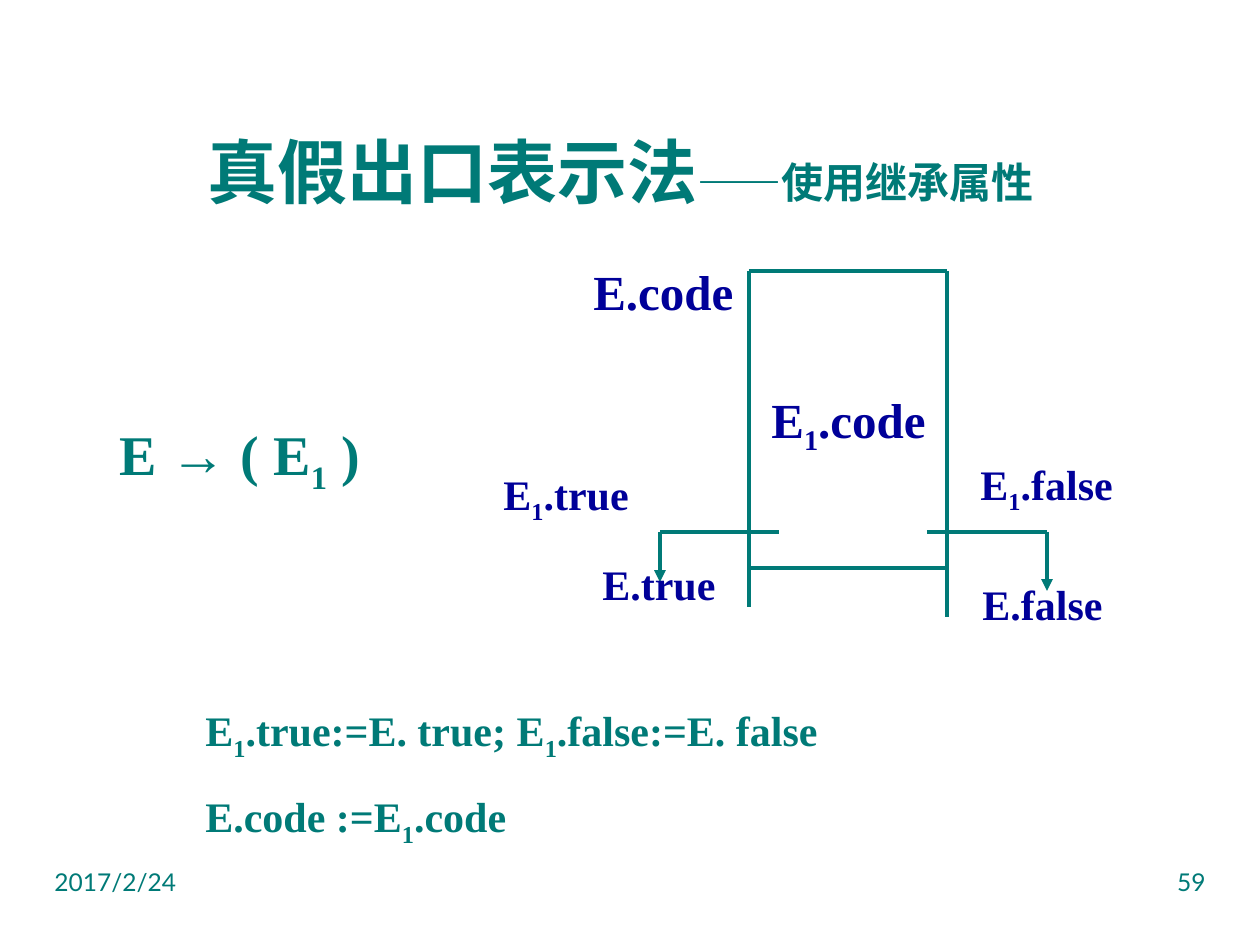
import pptx
import pptx.dml.color
import pptx.enum.shapes
import pptx.enum.text
import pptx.util
from lxml import etree
from pptx.oxml.ns import qn

PX = 914400 / 126
TEAL, NAVY = "007A77", "000099"
SERIF, SANS = "Times New Roman", "Lato"
ALIGN = pptx.enum.text.PP_ALIGN


def emu(px):
    return pptx.util.Emu(round(px * PX))


def rgb(value):
    return pptx.dml.color.RGBColor.from_string(value)


def style(font, size, color, name=SERIF, bold=True):
    font.size = pptx.util.Pt(size)
    font.name = name
    font.bold = bold
    font.color.rgb = rgb(color)


def add_runs(paragraph, text):
    """Add text in which the parts between bars are subscripts."""
    for index, part in enumerate(text.split("|")):
        run = paragraph.add_run()
        run.text = part
        if index % 2:
            run.font._element.set("baseline", "-25000")


def add_text(slide, box, lines, size, color=TEAL, name=SERIF, bold=True,
             align=ALIGN.LEFT, wrap=True, spacing=None):
    frame = slide.shapes.add_textbox(*map(emu, box)).text_frame
    frame.word_wrap = wrap
    for index, line in enumerate(lines):
        paragraph = frame.add_paragraph() if index else frame.paragraphs[0]
        paragraph.alignment = align
        if spacing:
            paragraph.line_spacing = spacing
        add_runs(paragraph, line)
        style(paragraph.font, size, color, name, bold)
    return frame


def add_title(slide, box, heading, subheading):
    frame = add_text(slide, box, [heading], 40, align=ALIGN.CENTER)
    frame.vertical_anchor = pptx.enum.text.MSO_ANCHOR.MIDDLE
    run = frame.paragraphs[0].add_run()
    run.text = subheading
    run.font.size = pptx.util.Pt(24)


def add_line(slide, x1, y1, x2, y2, arrow=False):
    line = slide.shapes.add_connector(
        pptx.enum.shapes.MSO_CONNECTOR.STRAIGHT, *map(emu, (x1, y1, x2, y2)))
    line.line.color.rgb = rgb(TEAL)
    line.line.width = pptx.util.Pt(2.25)
    if arrow:
        etree.SubElement(line.line._get_or_add_ln(), qn("a:tailEnd"), type="triangle")
    etree.SubElement(line._element.spPr, qn("a:effectLst"))


def add_code_block(slide):
    left, right, top, bottom = 749, 947, 271, 568
    add_line(slide, right, top, right, 617)
    add_line(slide, left, top, left, 607)
    for y in (top, bottom):
        add_line(slide, left, y, right, y)


def add_exit(slide, inner, outer, tip):
    """Draw an exit that leaves the code block and turns down."""
    level = 532
    add_line(slide, inner, level, outer, level)
    add_line(slide, outer, level, outer, tip, arrow=True)


def main():
    deck = pptx.Presentation()
    deck.slide_width, deck.slide_height = emu(1260), emu(945)
    slide = deck.slides.add_slide(deck.slide_layouts[6])

    add_title(slide, (123, 106, 995, 129), "真假出口表示法", "——使用继承属性")
    rules = ["E|1|.true:=E. true; E|1|.false:=E. false", "E.code :=E|1|.code"]
    add_text(slide, (193, 670, 745, 179), rules, 24, spacing=1.5)
    add_text(slide, (107, 413, 325, 79), ["E → ( E|1| )"], 32)

    add_code_block(slide)
    add_exit(slide, 779, 660, 582)
    add_exit(slide, 927, 1047, 591)
    labels = [
        ((581, 255, 165, 72), "E.code", 28),
        ((759, 383, 181, 72), "E|1|.code", 28),
        ((968, 452, 160, 63), "E|1|.false", 24),
        ((590, 552, 139, 63), "E.true", 24),
        ((491, 462, 152, 63), "E|1|.true", 24),
        ((970, 572, 145, 63), "E.false", 24),
    ]
    for box, label, size in labels:
        add_text(slide, box, [label], size, NAVY, wrap=False)

    footers = [(42, "2017/2/24", ALIGN.LEFT), (903, "59", ALIGN.RIGHT)]
    for left, footer, align in footers:
        add_text(slide, (left, 861, 315, 66), [footer], 14, name=SANS,
                 bold=False, align=align)

    deck.save("out.pptx")


if __name__ == "__main__":
    main()
